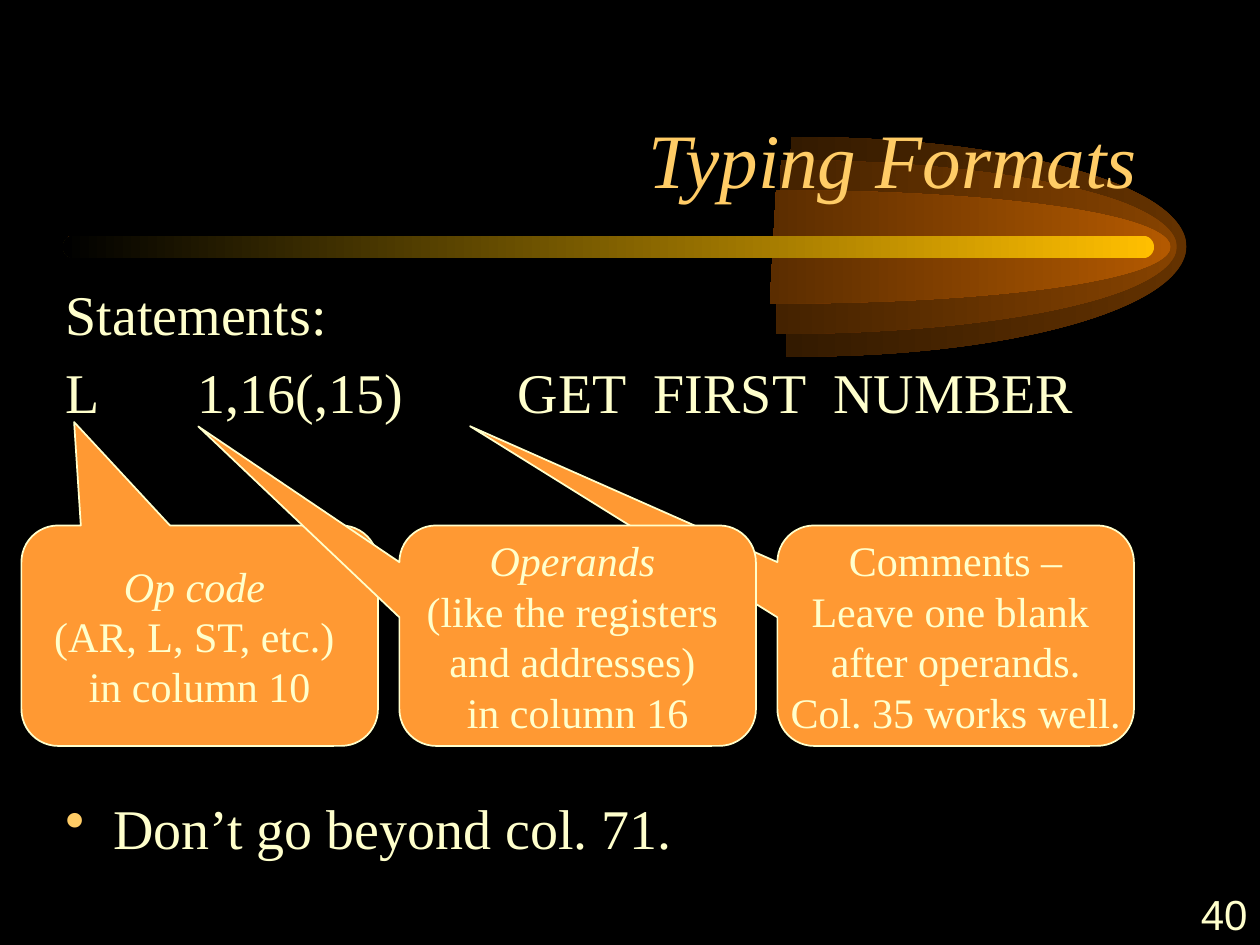
from lxml.etree import SubElement
from pptx import Presentation
from pptx.dml.color import RGBColor
from pptx.enum.shapes import MSO_SHAPE
from pptx.enum.text import MSO_ANCHOR, MSO_AUTO_SIZE, PP_ALIGN
from pptx.oxml.ns import qn
from pptx.util import Inches, Pt

COLORS = {
    "background": "000000",
    "title": "FFCC66",
    "text": "FFFFCC",
    "callout": "FF9933",
    "bar": "FFBF00",
    "outer": "663300",
    "outer_half": "331A00",
    "middle": "894400",
    "middle_half": "442200",
    "inner": "B75B00",
    "inner_half": "5B2D00",
}
SERIF = "Times New Roman"

COMET_LAYERS = [
    ("outer",
     [(6.28, 1.09), (7.4, 1.08), (8.44, 1.25), (9, 1.52), (9.56, 1.79),
      (9.55, 2.13), (8.99, 2.4), (8.43, 2.67), (7.39, 2.84), (6.24, 2.83)]),
    ("middle",
     [(6.2, 1.27), (7.33, 1.27), (8.36, 1.4), (8.92, 1.61), (9.48, 1.83),
      (9.48, 2.09), (8.91, 2.31), (8.35, 2.52), (7.31, 2.65), (6.16, 2.65)]),
    ("inner",
     [(6.16, 1.51), (7.28, 1.51), (8.31, 1.59), (8.87, 1.73), (9.43, 1.87),
      (9.43, 2.05), (8.87, 2.19), (8.31, 2.33), (7.27, 2.41), (6.11, 2.41)]),
]

CALLOUTS = [
    (0, (-0.352, -0.969),
     [("Op code ", True), ("(AR, L, ST, etc.) ", False), ("in column 10", False)]),
    (2, (-1.362, -0.95),
     [("Comments –", False), ("Leave one blank ", False),
      ("after operands.", False), ("Col. 35 works well.", False)]),
    (1, (-1.064, -0.949),
     [("Operands ", True), ("(like the registers ", False),
      ("and addresses) ", False), ("in column 16", False)]),
]


def rgb(name):
    return RGBColor.from_string(COLORS[name])


class SlideBuilder:
    def __init__(self, slide):
        self.slide = slide
        fill = slide.background.fill
        fill.solid()
        fill.fore_color.rgb = rgb("background")

    def run(self, paragraph, text, size, color="text", font=SERIF, italic=False):
        run = paragraph.add_run()
        run.text = text
        run.font.size = Pt(size)
        run.font.name = font
        run.font.italic = italic
        run.font.color.rgb = rgb(color)

    def gradient(self, shape, right, left):
        shape.shadow.inherit = False
        shape.line.fill.background()
        shape.fill.gradient()
        shape.fill.gradient_angle = 180
        for stop, color in zip(shape.fill.gradient_stops, (right, left)):
            stop.color.rgb = rgb(color)

    def comet_layer(self, name, controls):
        points = [(Inches(x), Inches(y)) for x, y in controls]
        builder = self.slide.shapes.build_freeform(*points[0])
        builder.add_line_segments(points[1:], close=True)
        shape = builder.convert_to_shape()
        segments = list(shape._element.iter(qn("a:lnTo")))[:len(controls) - 1]
        for first in range(0, len(segments), 3):
            group = segments[first:first + 3]
            curve = group[0].makeelement(qn("a:cubicBezTo"))
            group[0].addprevious(curve)
            for segment in group:
                curve.append(segment[0])
                segment.getparent().remove(segment)
        self.gradient(shape, name, f"{name}_half")

    def bar(self, *box):
        shape = self.slide.shapes.add_shape(
            MSO_SHAPE.ROUNDED_RECTANGLE, *map(Inches, box))
        shape.adjustments[0] = 0.5
        self.gradient(shape, "bar", "background")

    def placeholder(self, index, box, anchor):
        shape = self.slide.placeholders[index]
        self.slide.shapes._spTree.append(shape._element)
        shape.left, shape.top, shape.width, shape.height = map(Inches, box)
        frame = shape.text_frame
        frame.auto_size = MSO_AUTO_SIZE.NONE
        frame.vertical_anchor = anchor
        return frame

    def hanging_indent(self, paragraph, size):
        properties = paragraph._p.get_or_add_pPr()
        properties.set("marL", str(Inches(size)))
        properties.set("indent", str(Inches(-size)))
        return properties

    def title(self, text, *box):
        paragraph = self.placeholder(0, box, MSO_ANCHOR.BOTTOM).paragraphs[0]
        paragraph.alignment = PP_ALIGN.RIGHT
        self.run(paragraph, text, 44, "title", italic=True)
        self.run(paragraph, " ", 36, "title", italic=True)

    def statements(self, lines, operand_indent, comment_tab, *box):
        frame = self.placeholder(1, box, MSO_ANCHOR.TOP)
        for index, (text, space_before) in enumerate(lines):
            paragraph = frame.add_paragraph() if index else frame.paragraphs[0]
            paragraph.space_before = Pt(space_before)
            properties = self.hanging_indent(paragraph, operand_indent)
            properties.set("defTabSz", str(Inches(comment_tab)))
            SubElement(properties, qn("a:buNone"))
            self.run(paragraph, text, 32)

    def callout(self, column, tip, lines):
        shape = self.slide.shapes.add_shape(
            MSO_SHAPE.ROUNDED_RECTANGULAR_CALLOUT,
            Inches(0.17 + 3 * column), Inches(4.17), Inches(2.83), Inches(1.75))
        shape.shadow.inherit = False
        for index, value in enumerate((*tip, 0.167)):
            shape.adjustments[index] = value
        shape.fill.solid()
        shape.fill.fore_color.rgb = rgb("callout")
        shape.line.color.rgb = rgb("text")
        shape.line.width = Pt(1)
        frame = shape.text_frame
        frame.word_wrap = False
        frame.vertical_anchor = MSO_ANCHOR.MIDDLE
        for index, (text, italic) in enumerate(lines):
            paragraph = frame.add_paragraph() if index else frame.paragraphs[0]
            paragraph.alignment = PP_ALIGN.CENTER
            self.run(paragraph, text, 24, italic=italic)

    def text_box(self, *box):
        frame = self.slide.shapes.add_textbox(*map(Inches, box)).text_frame
        frame.word_wrap = True
        return frame

    def bullet(self, text, *box):
        paragraph = self.text_box(*box).paragraphs[0]
        paragraph.space_before = Pt(8)
        properties = self.hanging_indent(paragraph, 0.38)
        bullet_color = SubElement(properties, qn("a:buClr"))
        SubElement(bullet_color, qn("a:srgbClr"), val=COLORS["title"])
        SubElement(properties, qn("a:buChar"), char="•")
        self.run(paragraph, text, 32)

    def page_number(self, text, *box):
        frame = self.text_box(*box)
        frame.vertical_anchor = MSO_ANCHOR.MIDDLE
        frame.paragraphs[0].alignment = PP_ALIGN.RIGHT
        self.run(frame.paragraphs[0], text, 24, font="Arial")


def main():
    presentation = Presentation()
    presentation.slide_width = Inches(10)
    presentation.slide_height = Inches(7.5)
    builder = SlideBuilder(presentation.slides.add_slide(presentation.slide_layouts[1]))
    for layer in COMET_LAYERS:
        builder.comet_layer(*layer)
    builder.bar(0.5, 1.87, 8.66, 0.18)
    builder.title("Typing Formats", 0.75, 0.42, 8.5, 1.25)
    builder.statements(
        [("Statements:", 8), ("L\t1,16(,15)\tGET  FIRST  NUMBER", 6)],
        1.05, 2.54, 0.42, 2.17, 9.25, 1.5)
    for callout in CALLOUTS:
        builder.callout(*callout)
    builder.bullet("Don’t go beyond col. 71.", 0.42, 6.25, 9.25, 0.75)
    builder.page_number("40", 7.92, 7, 2.08, 0.5)
    presentation.save("out.pptx")


if __name__ == "__main__":
    main()
